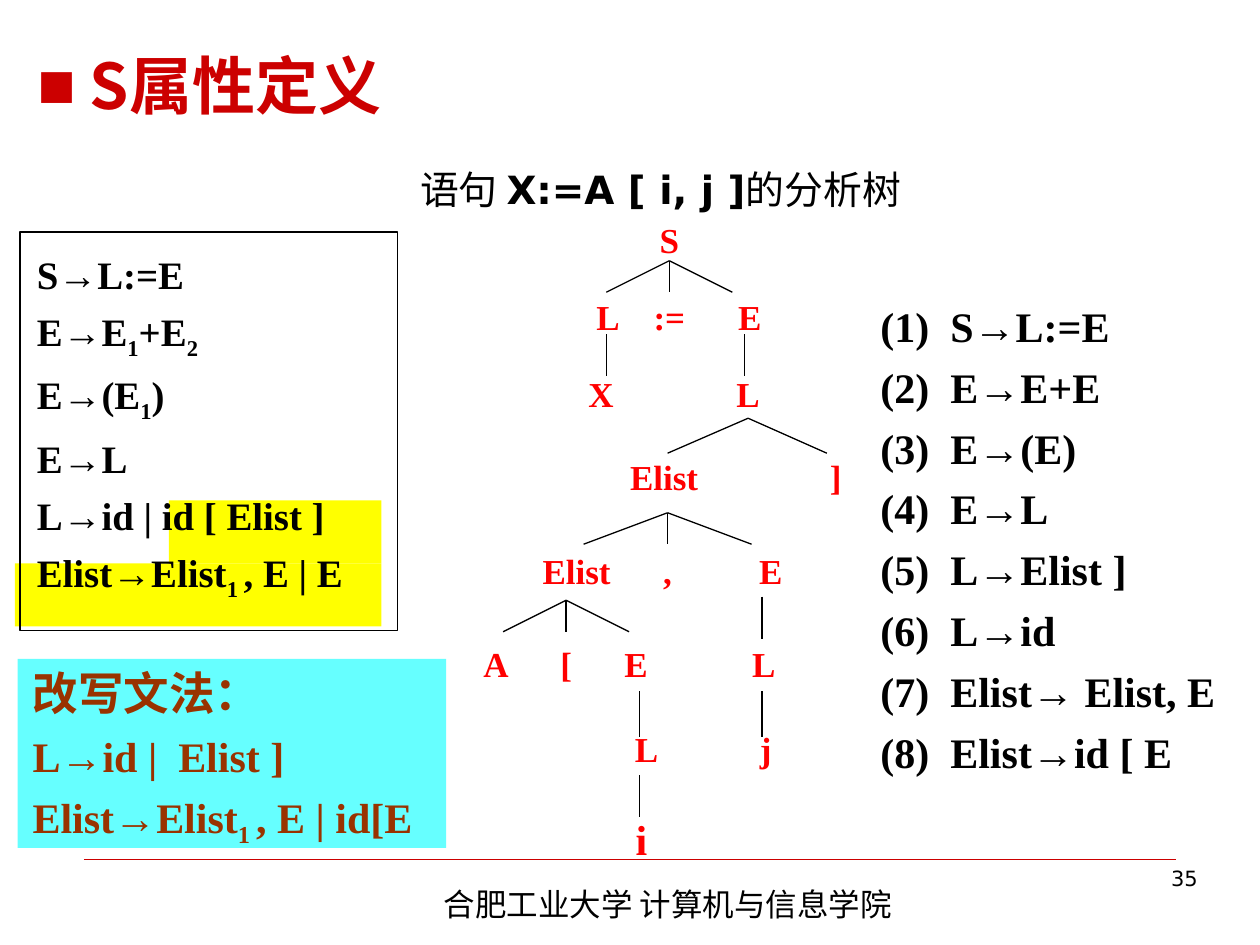
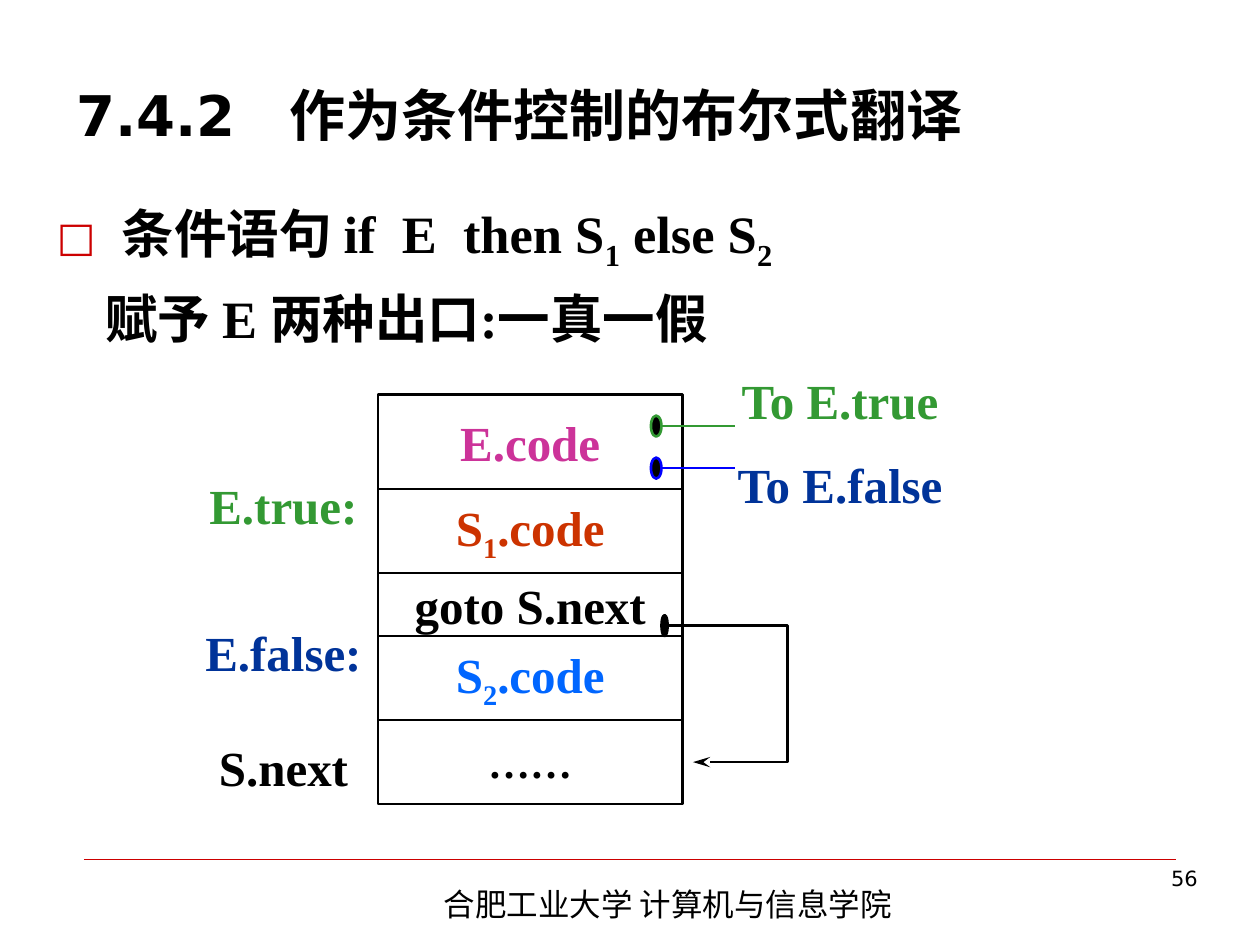
import dataclasses

import lxml.etree
import pptx
import pptx.dml.color
import pptx.enum.shapes
import pptx.enum.text
import pptx.oxml.ns
import pptx.util

Pt = pptx.util.Pt
SHAPE = pptx.enum.shapes.MSO_SHAPE
ALIGN = pptx.enum.text.PP_ALIGN
ANCHOR = pptx.enum.text.MSO_ANCHOR


@dataclasses.dataclass(frozen=True)
class Theme:
    """Colours, fonts and type sizes of the lecture."""

    black: str = "000000"
    red: str = "CC0000"
    tree_red: str = "FF0000"
    brown: str = "993300"
    cyan: str = "66FFFF"
    yellow: str = "FFFF00"
    green: str = "339933"
    navy: str = "003399"
    blue: str = "0000FF"
    sky: str = "0066FF"
    pink: str = "CC3399"
    rust: str = "CC3300"
    serif: str = "Times New Roman"
    sans: str = "DejaVu Sans"
    arrow: str = "Arial"
    chinese: str = "Noto Sans CJK SC"
    page: float = 12
    footer: float = 18
    node: float = 20
    grammar: float = 22.2
    rule: float = 24
    rewrite: float = 26
    code: float = 28
    body: float = 30
    heading: float = 32
    title: float = 36


THEME = Theme()


def rgb(colour):
    """Turn a hex string into a colour."""
    return pptx.dml.color.RGBColor.from_string(colour)


def add_xml(parent, tag, **attributes):
    """Append a DrawingML element and return it."""
    return lxml.etree.SubElement(parent, pptx.oxml.ns.qn(f"a:{tag}"), attributes)


def style(size, colour=THEME.black, name=THEME.serif, bold=True):
    """Return the format values of a run."""
    return {"size": Pt(size), "colour": colour, "name": name, "bold": bold}


def add_run(paragraph, text, formats, subscript=False):
    """Add one formatted run."""
    run = paragraph.add_run()
    run.text = text
    for key, value in formats.items():
        if key == "colour":
            run.font.color.rgb = rgb(value)
        else:
            setattr(run.font, key, value)
    properties = run._r.get_or_add_rPr()
    add_xml(properties, "ea", typeface=THEME.chinese)
    if subscript:
        properties.set("baseline", "-25000")


def add_marked(paragraph, text, formats):
    """Add text in which ~ encloses subscripts and arrows take their own font."""
    for index, part in enumerate(text.split("~")):
        for piece in part.replace("→", "^→^").split("^"):
            if piece:
                face = {"name": THEME.arrow} if piece == "→" else {}
                add_run(paragraph, piece, formats | face, index % 2 == 1)


def add_bullet(paragraph, mark, percent, hanging=0):
    """Give a paragraph a red bullet."""
    properties = paragraph._p.get_or_add_pPr()
    properties.set("marL", str(Pt(hanging)))
    properties.set("indent", str(-Pt(hanging)))
    colour = add_xml(properties, "buClr")
    add_xml(colour, "srgbClr", val=THEME.red)
    add_xml(properties, "buSzPct", val=str(percent * 1000))
    add_xml(properties, "buFont", typeface=THEME.sans)
    add_xml(properties, "buChar", char=mark)


def add_tab(paragraph, position):
    """Set a left tab stop."""
    stops = add_xml(paragraph._p.get_or_add_pPr(), "tabLst")
    add_xml(stops, "tab", pos=str(Pt(position)), algn="l")


def write(shape, paragraphs, formats, gap=0, tab=None, wrap=True, anchor=ANCHOR.TOP, **layout):
    """Fill a shape; a paragraph is a string or a list of (text, overrides)."""
    frame = shape.text_frame
    for key, value in {"word_wrap": wrap, "vertical_anchor": anchor}.items():
        setattr(frame, key, value)
    for index, pieces in enumerate(paragraphs):
        paragraph = frame.add_paragraph() if index else frame.paragraphs[0]
        if tab:
            add_tab(paragraph, tab)
        settings = layout | ({"space_before": Pt(gap)} if index else {})
        for key, value in settings.items():
            setattr(paragraph, key, value)
        for text, overrides in [(pieces, {})] if isinstance(pieces, str) else pieces:
            add_marked(paragraph, text, formats | overrides)
    return frame.paragraphs


def add_text(slide, box, paragraphs, formats, **options):
    """Add a text box and return its paragraphs."""
    return write(slide.shapes.add_textbox(*map(Pt, box)), paragraphs, formats, **options)


def add_label(slide, box, text, formats):
    """Add one centred line of text that does not wrap."""
    add_text(slide, box, [text], formats, wrap=False, anchor=ANCHOR.MIDDLE, alignment=ALIGN.CENTER)


def paint(shape, fill=None, line=None, width=1.5):
    """Set fill and outline and drop the shadow."""
    shape.shadow.inherit = False
    if fill:
        shape.fill.solid()
        shape.fill.fore_color.rgb = rgb(fill)
    else:
        shape.fill.background()
    if line:
        shape.line.color.rgb = rgb(line)
        shape.line.width = Pt(width)
    else:
        shape.line.fill.background()
    return shape


def add_block(slide, box, kind=SHAPE.RECTANGLE, **colours):
    """Add a painted preset shape."""
    return paint(slide.shapes.add_shape(kind, *map(Pt, box)), **colours)


def add_line(slide, start, end, colour=THEME.black, width=0.75):
    """Add a straight line without a shadow."""
    line = slide.shapes.add_connector(
        pptx.enum.shapes.MSO_CONNECTOR.STRAIGHT, *map(Pt, (*start, *end)))
    line.line.color.rgb = rgb(colour)
    line.line.width = Pt(width)
    add_xml(line._element.spPr, "effectLst")


def add_page(deck, number):
    """Add a slide with the shared footer."""
    slide = deck.slides.add_slide(deck.slide_layouts[6])
    add_line(slide, (48, 491), (672, 491), THEME.red, 0.25)
    add_text(slide, (246.5, 502, 363, 29), ["合肥工业大学 计算机与信息学院"],
             style(THEME.footer, name=THEME.chinese, bold=False))
    add_text(slide, (535.5, 491, 156, 37), [number],
             style(THEME.page, name=THEME.sans, bold=False), alignment=ALIGN.RIGHT)
    return slide


def add_grammar(slide, box):
    """Place the framed grammar with its highlighted productions."""
    left, top, width, height = box
    add_block(slide, (left - 3, top + 189.5, 209.5, 36), fill=THEME.yellow)
    add_block(slide, (left + 85, top + 153.5, 121.5, 36), fill=THEME.yellow)
    productions = ["S→L:=E", "E→E~1~+E~2~", "E→(E~1~)", "E→L",
                   "L→id | id [ Elist ]", "Elist→Elist~1 ~, E | E"]
    add_text(slide, (left + 2.5, top + 7, width - 8, height - 13), productions,
             style(THEME.grammar), gap=6)
    add_block(slide, box, line=THEME.black, width=0.75)


def add_rewrite(slide, box):
    """Place the rewritten grammar on its panel."""
    left, top, width, height = box
    add_block(slide, box, fill=THEME.cyan)
    productions = [[("改写文法：", {"size": Pt(THEME.rewrite)})],
                   "L→id |  Elist ]", "Elist→Elist~1 ~, E | id[E"]
    add_text(slide, (left + 1.5, top, width - 5, height + 12), productions,
             style(THEME.rule, THEME.brown), gap=6)


def add_tree(slide, box):
    """Place the parse tree: branches first, then its nodes row by row."""
    left, top = box[:2]
    branches = [
        (118, 29, 47, (-36, 0, 36)),
        (82, 71, 95, (0,)), (161, 71, 95, (0,)),
        (163, 119, 139, (-46, 45)),
        (117, 173, 191, (-48, 0, 48)),
        (171, 221, 245, (0,)),
        (59, 223, 241, (-36, 0, 36)),
        (101, 275, 301, (0,)), (171, 275, 301, (0,)),
        (101, 323, 347, (0,)),
    ]
    for x, start, end, feet in branches:
        for foot in feet:
            add_line(slide, (left + x, top + start), (left + x + foot, top + end))
    rows = [
        (17, {118: "S"}),
        (61, {83: "L", 118: ":=", 164: "E"}),
        (105, {79: "X", 163: "L"}),
        (152, {115: "Elist", 213: "]"}),
        (206, {65: "Elist", 117: ",", 176: "E"}),
        (259, {19: "A", 59: "[", 99: "E", 172: "L"}),
        (308, {105: "L", 173: "j"}),
        (359, {102: "i"}),
    ]
    for y, nodes in rows:
        for x, symbol in nodes.items():
            size = THEME.rule if symbol == "i" else THEME.node
            add_label(slide, (left + x - 30, top + y - 16, 60, 32), symbol,
                      style(size, THEME.tree_red))


def add_derivation(slide, box):
    """Place the numbered productions."""
    productions = ["S→L:=E", "E→E+E", "E→(E)", "E→L", "L→Elist ]",
                   "L→id", "Elist→ Elist, E", "Elist→id [ E"]
    numbered = [f"({number})\t{text}" for number, text in enumerate(productions, 1)]
    add_text(slide, box, numbered, style(THEME.rule), gap=6, tab=40)


def add_exit(slide, start, colour):
    """Draw a dot and the line that leaves it."""
    x, y = start
    add_line(slide, (x + 6, y), (x + 48, y), colour, 1.5)
    add_block(slide, (x, y - 6, 6, 12), SHAPE.OVAL, fill=THEME.black, line=colour)


def add_jump(slide, origin):
    """Draw the jump from the goto row to the end of the code."""
    x, y = origin
    corners = [(Pt(x + dx), Pt(y + dy)) for dx, dy in [(0, 0), (68.5, 0), (68.5, 78), (14.5, 78)]]
    builder = slide.shapes.build_freeform(*corners[0], scale=1.0)
    builder.add_line_segments(corners[1:], close=False)
    jump = paint(builder.convert_to_shape(), line=THEME.black)
    add_xml(jump.line._get_or_add_ln(), "tailEnd", type="stealth", len="lg")
    add_block(slide, (x - 3.5, y - 6, 3.5, 12), SHAPE.OVAL, fill=THEME.black, line=THEME.black)


def add_code_layout(slide, box):
    """Place the code stack with its entry labels, exits and jump."""
    left, top, width = box[:3]
    rows = [("E.code", 54, THEME.pink, THEME.code), ("S~1~.code", 48, THEME.rust, THEME.code),
            ("goto S.next", 36, THEME.black, THEME.code),
            ("S~2~.code", 48, THEME.sky, THEME.code), ("……", 48, THEME.black, THEME.rule)]
    y = top
    for text, height, colour, size in rows:
        row = add_block(slide, (left, y, width, height), line=THEME.black)
        write(row, [text], style(size, colour), wrap=False,
              anchor=ANCHOR.MIDDLE, alignment=ALIGN.CENTER)
        y += height
    labels = [("E.true:", -54, 63, THEME.green), ("E.false:", -54, 147, THEME.navy),
              ("S.next", -54, 213, THEME.black),
              ("To E.true", 264, 3, THEME.green), ("To E.false", 264, 51, THEME.navy)]
    for text, centre, middle, colour in labels:
        add_label(slide, (left + centre - 75, top + middle - 21, 150, 42), text,
                  style(THEME.code, colour))
    add_exit(slide, (left + 156, top + 18), THEME.green)
    add_exit(slide, (left + 156, top + 42), THEME.blue)
    add_jump(slide, (left + 165.5, top + 132))


def add_attribute_slide(deck):
    """Build the slide on S-attributed definitions."""
    slide = add_page(deck, "35")
    title = add_text(slide, (14.4, 26, 678, 47.5), [" S属性定义"],
                     style(THEME.title, THEME.red, THEME.chinese), anchor=ANCHOR.BOTTOM)
    add_bullet(title[0], "■", 64)
    caption = [("语句 ", {}), ("X:=A [ i, j ]", {"name": THEME.sans, "bold": True}),
               ("的分析树", {})]
    add_text(slide, (233, 94, 393, 36), [caption],
             style(THEME.grammar, name=THEME.chinese, bold=False), line_spacing=0.9)
    add_grammar(slide, (11.5, 132.5, 215.5, 228))
    add_rewrite(slide, (10, 376.5, 245, 108))
    add_tree(slide, (264.5, 120, 220, 380))
    add_derivation(slide, (496, 168, 210, 289))


def add_boolean_slide(deck):
    """Build the slide on boolean expressions as conditions."""
    slide = add_page(deck, "56")
    add_text(slide, (36.5, 20, 624, 90), ["7.4.2\t作为条件控制的布尔式翻译"],
             style(THEME.heading, name=THEME.sans), tab=122, anchor=ANCHOR.MIDDLE)
    statement, exits = add_text(
        slide, (25.5, 111.5, 623, 102),
        ["条件语句 if  E  then S~1~ else S~2~", "赋予 E 两种出口:一真一假"],
        style(THEME.body), gap=7.5, alignment=ALIGN.JUSTIFY)
    exits._p.get_or_add_pPr().set("marL", str(Pt(27.5)))
    add_bullet(statement, "□", 78, 37)
    add_code_layout(slide, (216, 225.5, 174, 234))


def main():
    """Build and save the deck."""
    deck = pptx.Presentation()
    deck.slide_width, deck.slide_height = Pt(720), Pt(540)
    add_attribute_slide(deck)
    add_boolean_slide(deck)
    deck.save("out.pptx")


if __name__ == "__main__":
    main()
